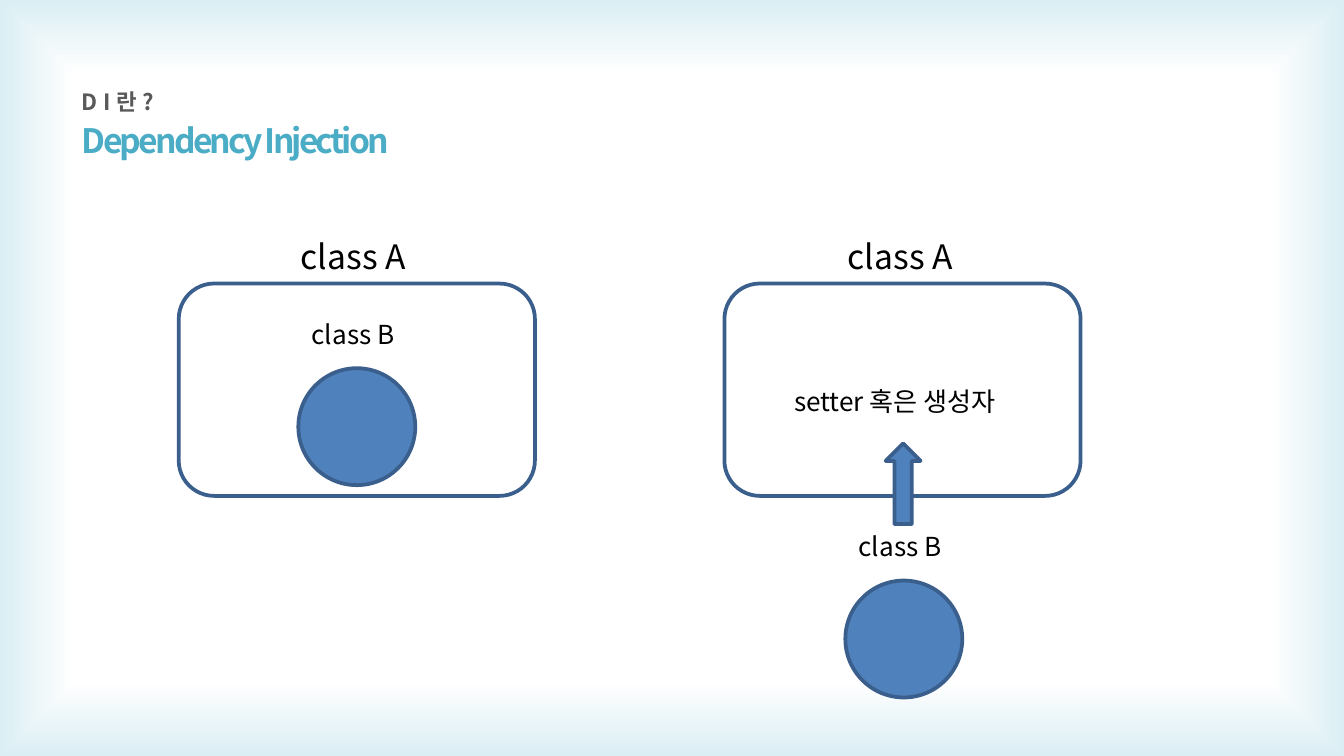
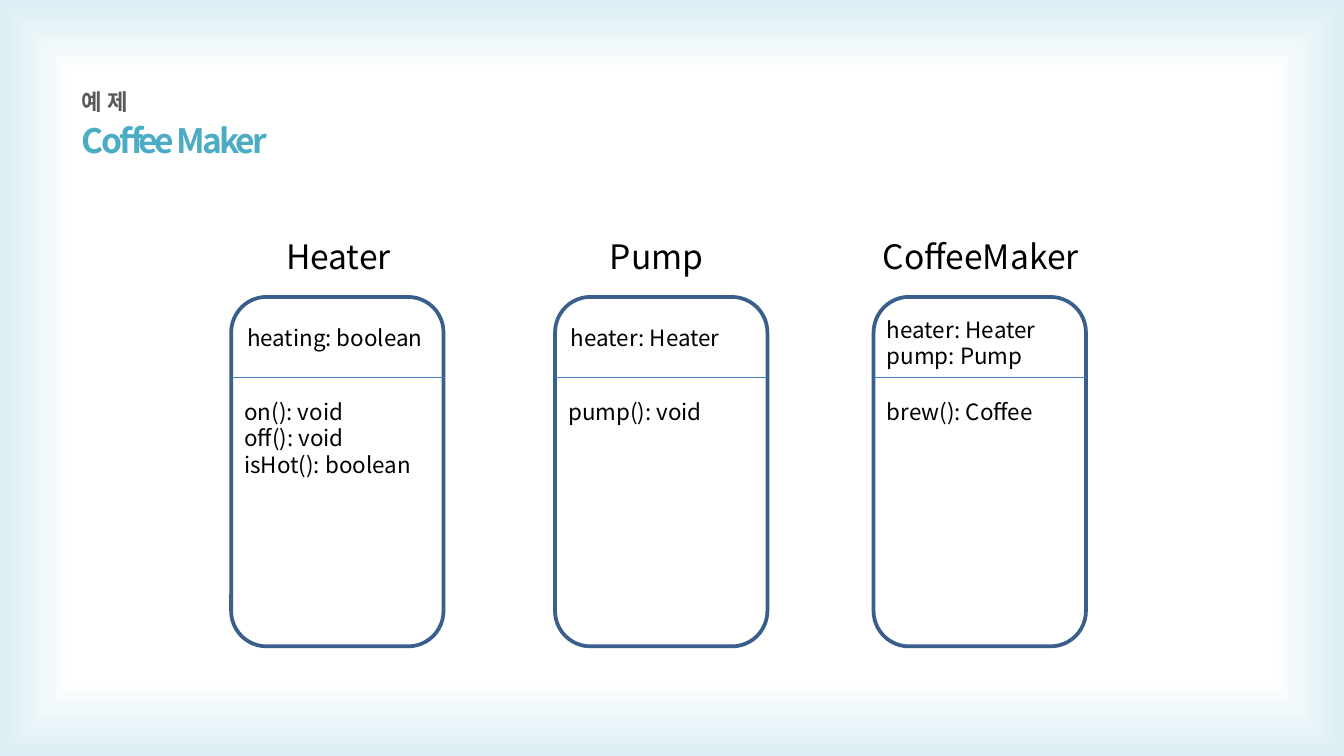
from lxml import etree
from pptx import Presentation
from pptx.dml import color
from pptx.enum import shapes, text
from pptx.oxml import ns, parse_xml
from pptx.util import Inches, Pt

FONT = "Noto Sans CJK KR"
WHITE, BLUE, OUTLINE, RULE, EDGE = "FFFFFF", "4F81BD", "3A5F8C", "4B7EBC", "DBEEF4"
KICKER = {"size": Pt(12), "bold": True, "color": "595959", "spc": 300}
HEADING = {"size": Pt(18), "bold": True, "color": "4BACC6", "spc": -150}
NAME = {"size": Pt(18), "bold": False, "color": "000000", "spc": 0}
LABEL = {**NAME, "size": Pt(14)}
MEMBER = {**NAME, "size": Pt(12)}
KIND = shapes.MSO_SHAPE


def write(slide, lines, box, style, holder=None):
    """Write lines of text in a new text box or a given placeholder."""
    holder = holder or slide.shapes.add_textbox(0, 0, 0, 0)
    for side, length in zip(("left", "top", "width", "height"), box):
        setattr(holder, side, Inches(length))
    frame = holder.text_frame
    frame.text = "\n".join(lines)
    frame.word_wrap = True
    frame.vertical_anchor = text.MSO_ANCHOR.TOP
    frame.auto_size = text.MSO_AUTO_SIZE.SHAPE_TO_FIT_TEXT
    for paragraph in frame.paragraphs:
        paragraph.alignment = text.PP_ALIGN.LEFT
        font = paragraph.runs[0].font
        for key in ("size", "bold"):
            setattr(font, key, style[key])
        font.name = FONT
        font.color.rgb = color.RGBColor.from_string(style["color"])
        props = paragraph.runs[0]._r.get_or_add_rPr()
        props.set("spc", str(style["spc"]))
        props.find(ns.qn("a:latin")).addnext(
            etree.Element(ns.qn("a:ea"), typeface=FONT))


def draw(slide, kind, box, fill):
    """Draw an outlined preset shape."""
    figure = slide.shapes.add_shape(kind, *map(Inches, box))
    figure.shadow.inherit = False
    figure.fill.solid()
    figure.fill.fore_color.rgb = color.RGBColor.from_string(fill)
    figure.line.color.rgb = color.RGBColor.from_string(OUTLINE)
    figure.line.width = Pt(2)


# A 16:9 deck, ten inches wide
prs = Presentation()
prs.slide_width = Inches(10)
prs.slide_height = Inches(10) * 9 // 16

# Shared background: white centre fading to pale blue edges
master_bg = prs.slide_master.element.cSld.find(ns.qn("p:bg"))
master_bg.getparent().replace(master_bg, parse_xml(
    f'<p:bg {ns.nsdecls("p", "a")}><p:bgPr><a:gradFill rotWithShape="1"><a:gsLst>'
    f'<a:gs pos="80000"><a:srgbClr val="{WHITE}"/></a:gs>'
    f'<a:gs pos="100000"><a:srgbClr val="{EDGE}"/></a:gs></a:gsLst>'
    '<a:path path="rect"><a:fillToRect l="50000" t="50000" r="50000" b="50000"/></a:path>'
    '</a:gradFill><a:effectLst/></p:bgPr></p:bg>'))

# Slides with kicker and title
slides = []
for kicker, heading in (("DI란?", "Dependency Injection"), ("예제", "Coffee Maker")):
    slide = prs.slides.add_slide(prs.slide_layouts[5])
    write(slide, [kicker], (0.51, 0.61, 4.02, 0.3), KICKER)
    write(slide, [heading], (0.51, 0.84, 3.39, 0.4), HEADING, slide.shapes.title)
    slides.append(slide)
injection, example = slides

# Class B inside class A, then class B passed in from outside
for left, b_left, b_top in ((1.33, 2.22, 2.74), (5.39, 6.29, 4.32)):
    draw(injection, KIND.ROUNDED_RECTANGLE, (left, 2.11, 2.65, 1.58), WHITE)
    write(injection, ["class A"], (b_left - 0.08, 1.71, 1.02, 0.4), NAME)
    draw(injection, KIND.OVAL, (b_left, b_top, 0.87, 0.87), BLUE)
    write(injection, ["class B"], (b_left, b_top - 0.42, 0.87, 0.34), LABEL)
draw(injection, KIND.UP_ARROW, (6.59, 3.3, 0.26, 0.6), BLUE)
write(injection, ["setter 혹은 생성자"], (5.81, 2.82, 2.07, 0.34), LABEL)

# Class cards: left, name, its left and width, fields, their left and top, methods
cards = (
    (1.72, "Heater", 2.03, 0.98, ["heating: boolean"], 1.74, 2.36,
     ["on(): void", "off(): void", "isHot(): boolean"]),
    (4.13, "Pump", 4.44, 0.98, ["heater: Heater"], 4.15, 2.36, ["pump(): void"]),
    (6.5, "CoffeeMaker", 6.47, 1.74, ["heater: Heater", "pump: Pump"], 6.5, 2.3,
     ["brew(): Coffee"]),
)
for left, name, name_left, name_width, fields, field_left, field_top, methods in cards:
    draw(example, KIND.ROUNDED_RECTANGLE, (left, 2.21, 1.58, 2.6), WHITE)
    write(example, [name], (name_left, 1.71, name_width, 0.4), NAME)
    write(example, fields, (field_left, field_top, 1.56, 0.1 + 0.2 * len(fields)), MEMBER)
    divider = example.shapes.add_connector(
        shapes.MSO_CONNECTOR.STRAIGHT,
        *map(Inches, (left, 2.81, left + 1.58, 2.81)))
    divider.line.color.rgb = color.RGBColor.from_string(RULE)
    divider.line.width = Pt(0.75)
    etree.SubElement(divider._element.spPr, ns.qn("a:effectLst"))
    write(example, methods, (left, 2.91, 1.47, 0.1 + 0.2 * len(methods)), MEMBER)

prs.save("out.pptx")
